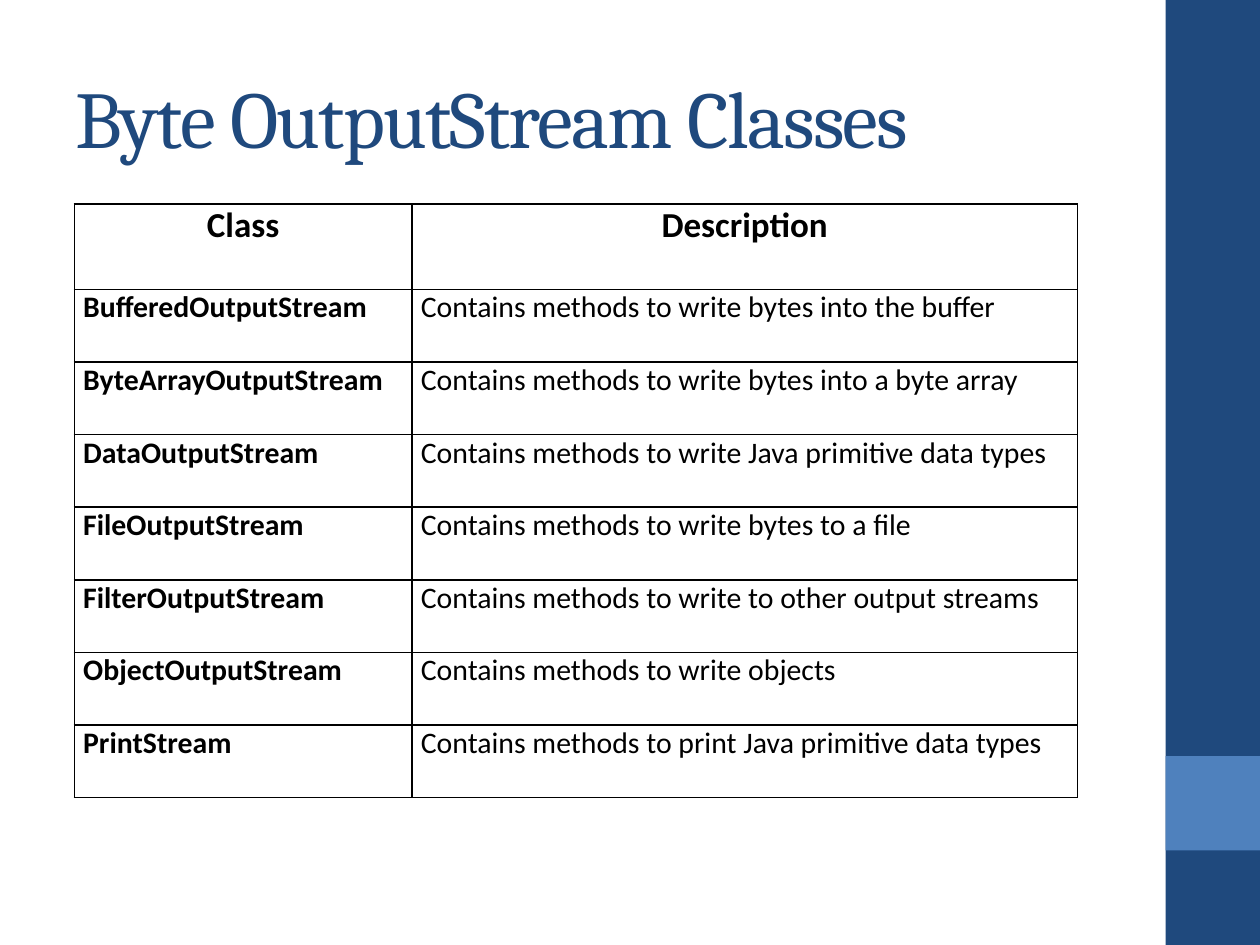
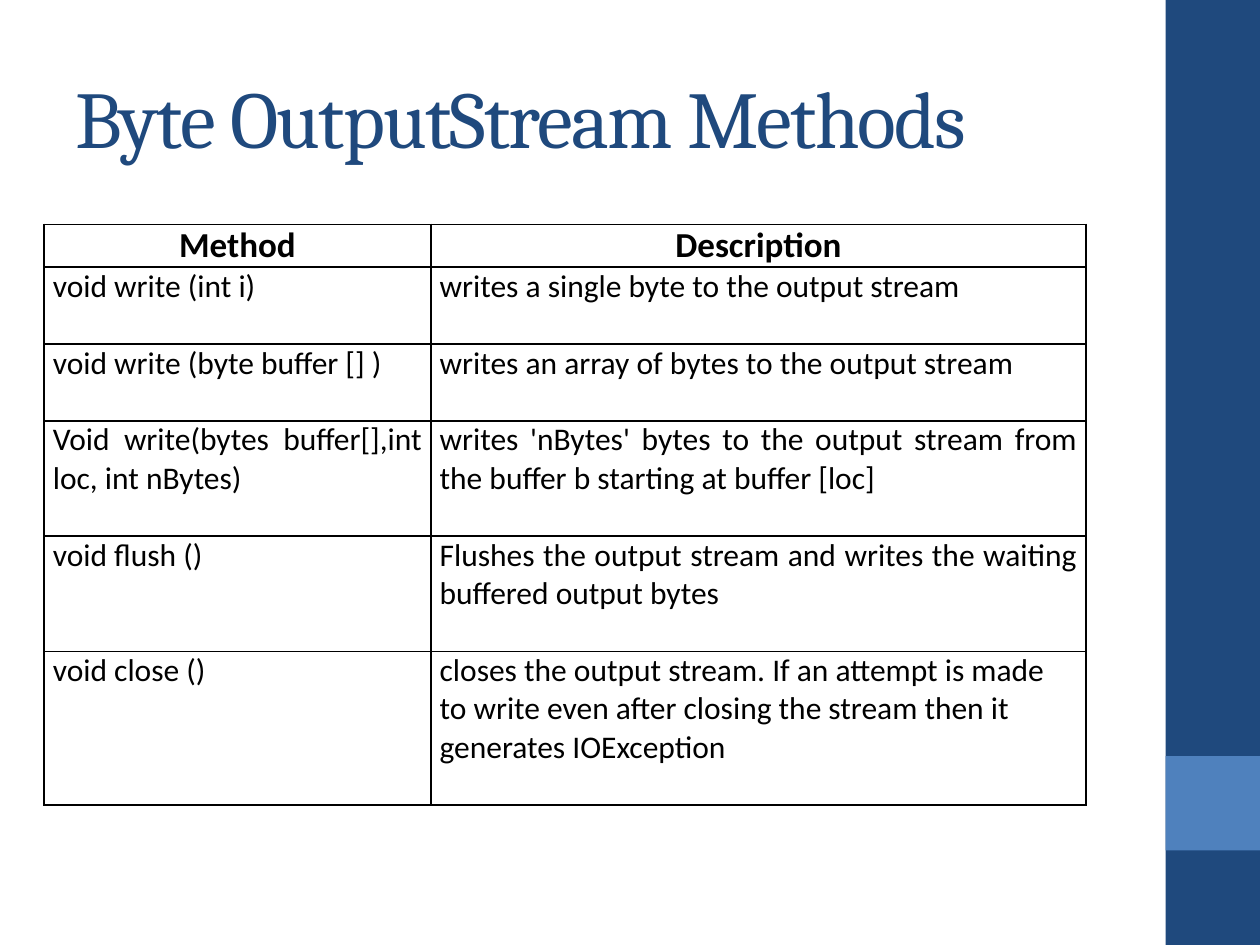
import pptx
import pptx.dml.color
import pptx.enum.shapes
import pptx.enum.text
import pptx.oxml
import pptx.oxml.ns
import pptx.util

inch, pt = pptx.util.Inches, pptx.util.Pt
ALIGN = pptx.enum.text.PP_ALIGN
ANCHOR = pptx.enum.text.MSO_ANCHOR

WIDE, HIGH = 10, 7.5
HUES = {"navy": "1F497D", "blue": "4F81BD", "ink": "000000", "paper": "FFFFFF"}

# Each band: left, top, width, height as shares of the slide, and its hue
BANDS = [
    (0.925, 0, 0.075, 1, "navy"),
    (0.925, 0.8, 0.075, 0.1, "blue"),
]
TITLE_BOX = {"left": inch(0.5), "top": inch(0.3),
             "width": inch(8.33), "height": inch(1.25)}
TITLE_FONT = {"name": "Cambria", "size": pt(46), "bold": False}
TITLE_FRAME = {"vertical_anchor": ANCHOR.MIDDLE, "word_wrap": True,
               "auto_size": pptx.enum.text.MSO_AUTO_SIZE.NONE}
CELL = {"margin_left": inch(0.07), "margin_right": inch(0.07),
        "margin_top": 0, "margin_bottom": 0, "vertical_anchor": ANCHOR.TOP}
HEAD_SIZE = 20
LEAD = 1.22  # line height as a multiple of the text size

# Each row: first cell, second cell, height in text lines
SLIDES = [
    {
        "title": "Byte OutputStream Classes",
        "spot": (0.59, 1.62), "cols": (2.68, 5.28),
        "size": 17, "bold": True, "ragged": (),
        "rows": [
            ("Class", "Description", 2),
            ("BufferedOutputStream",
             "Contains methods to write bytes into the buffer", 2),
            ("ByteArrayOutputStream",
             "Contains methods to write bytes into a byte array", 2),
            ("DataOutputStream",
             "Contains methods to write Java primitive data types", 2),
            ("FileOutputStream",
             "Contains methods to write bytes to a file", 2),
            ("FilterOutputStream",
             "Contains methods to write to other output streams", 2),
            ("ObjectOutputStream", "Contains methods to write objects", 2),
            ("PrintStream",
             "Contains methods to print Java primitive data types", 2),
        ],
    },
    {
        "title": "Byte OutputStream Methods",
        "spot": (0.35, 1.78), "cols": (3.07, 5.2),
        "size": 18, "bold": False, "ragged": ((5, 1),),
        "rows": [
            ("Method", "Description", 1),
            ("void write (int i)",
             "writes a single byte to the output stream", 2),
            ("void write (byte buffer [] )",
             "writes an array of bytes to the output stream", 2),
            ("Void write(bytes buffer[],int loc, int nBytes)",
             "writes 'nBytes' bytes to the output stream from the buffer b "
             "starting at buffer [loc]", 3),
            ("void flush ()",
             "Flushes the output stream and writes the waiting buffered "
             "output bytes", 3),
            ("void close ()",
             "closes the output stream. If an attempt is made to write even "
             "after closing the stream then it generates IOException", 4),
        ],
    },
]


def apply(thing, form):
    for key, val in form.items():
        setattr(thing, key, val)


def paint(fill, hue):
    fill.solid()
    fill.fore_color.rgb = pptx.dml.color.RGBColor.from_string(HUES[hue])


def style(font, hue, form):
    apply(font, form)
    paint(font.fill, hue)


def add_bands(deck, slide):
    """Draw the side bands on a slide, then move them to the master."""
    tree = deck.slide_master.shapes.element
    for num, (left, top, wide, high, hue) in enumerate(BANDS):
        band = slide.shapes.add_shape(
            pptx.enum.shapes.MSO_SHAPE.RECTANGLE,
            inch(left * WIDE), inch(top * HIGH),
            inch(wide * WIDE), inch(high * HIGH))
        band.shadow.inherit = False
        band.line.fill.background()
        paint(band.fill, hue)
        band.element.nvSpPr.cNvPr.set("id", str(50 + num))
        tree.insert(2 + num, band.element)


def add_title(slide, text):
    title = slide.shapes.title
    apply(title, TITLE_BOX)
    apply(title.text_frame, TITLE_FRAME)
    para = title.text_frame.paragraphs[0]
    para.alignment = ALIGN.LEFT
    run = para.add_run()
    run.text = text
    style(run.font, "navy", TITLE_FONT)
    run.font._element.set("spc", "-100")


def frame(cell):
    """Give a cell a thin line on all four sides."""
    props = cell._tc.get_or_add_tcPr()
    for num, side in enumerate(("lnL", "lnR", "lnT", "lnB")):
        props.insert(num, pptx.oxml.parse_xml(
            f'<a:{side} {pptx.oxml.ns.nsdecls("a")} w="{pt(1)}"><a:solidFill>'
            f'<a:srgbClr val="{HUES["ink"]}"/></a:solidFill></a:{side}>'))


def add_grid(slide, item):
    rows, cols = item["rows"], item["cols"]
    sizes = [HEAD_SIZE] + [item["size"]] * (len(rows) - 1)
    highs = [pt(row[-1] * size * LEAD) for row, size in zip(rows, sizes)]
    left, top = item["spot"]
    grid = slide.shapes.add_table(
        len(rows), len(cols), inch(left), inch(top),
        inch(sum(cols)), sum(highs)).table
    for col, wide in zip(grid.columns, cols):
        col.width = inch(wide)
    for r, (*texts, _) in enumerate(rows):
        grid.rows[r].height = highs[r]
        for c, text in enumerate(texts):
            cell = grid.cell(r, c)
            apply(cell, CELL)
            paint(cell.fill, "paper")
            frame(cell)
            para = cell.text_frame.paragraphs[0]
            if r == 0:
                para.alignment = ALIGN.CENTER
            else:
                loose = (r, c) in item["ragged"]
                para.alignment = ALIGN.LEFT if loose else ALIGN.JUSTIFY
            run = para.add_run()
            run.text = text
            bold = r == 0 or (c == 0 and item["bold"])
            style(run.font, "ink",
                  {"name": "Calibri", "size": pt(sizes[r]), "bold": bold})


def main():
    deck = pptx.Presentation()
    deck.slide_width, deck.slide_height = inch(WIDE), inch(HIGH)
    paint(deck.slide_master.background.fill, "paper")
    for num, item in enumerate(SLIDES):
        slide = deck.slides.add_slide(deck.slide_layouts[5])
        if num == 0:
            add_bands(deck, slide)
        add_title(slide, item["title"])
        add_grid(slide, item)
    deck.save("out.pptx")


if __name__ == "__main__":
    main()
